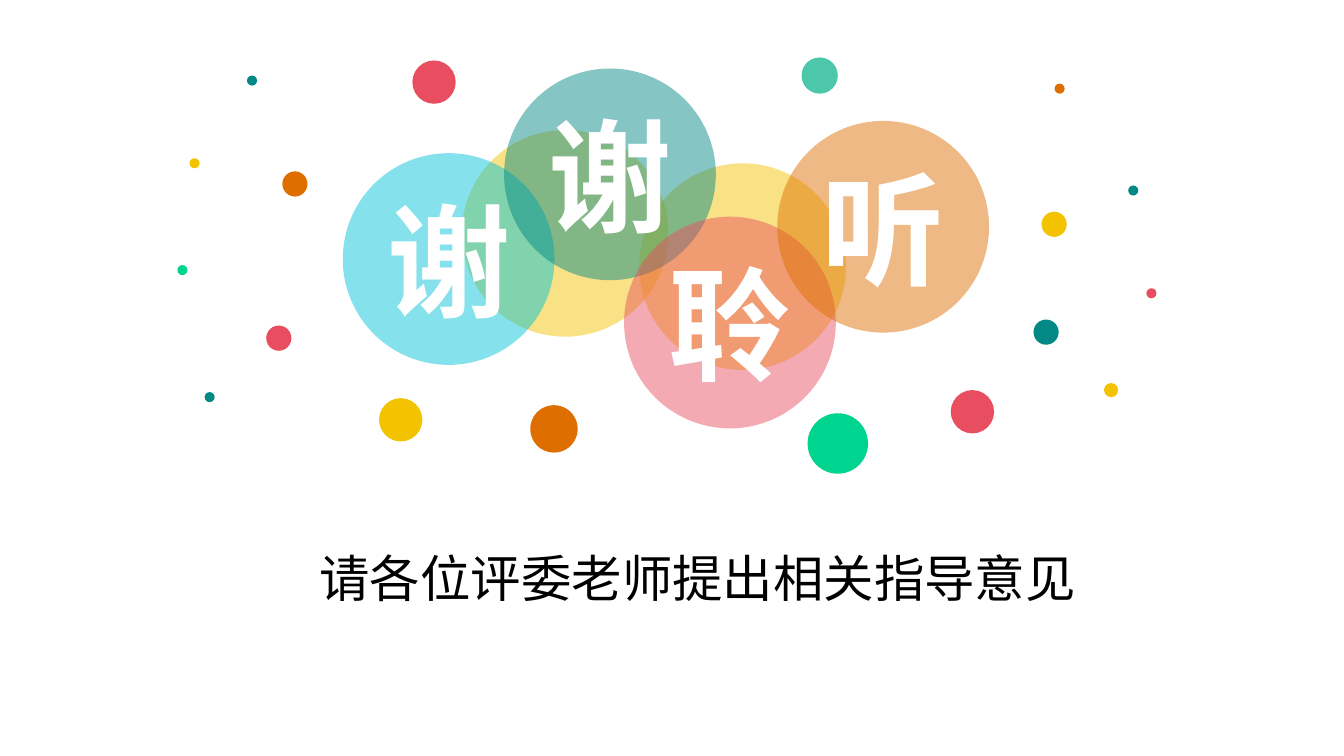
from lxml import etree
from pptx import Presentation
from pptx.dml.color import RGBColor
from pptx.enum.shapes import MSO_SHAPE
from pptx.enum.text import MSO_ANCHOR, PP_ALIGN
from pptx.oxml.ns import qn
from pptx.util import Inches, Pt

OVAL = MSO_SHAPE.OVAL
MIDDLE = MSO_ANCHOR.MIDDLE
CENTER = PP_ALIGN.CENTER

COLORS = {
    "yellow": "F3C301", "cyan": "00C3D9", "teal": "028985", "red": "E94E60",
    "orange": "DE6E00", "mint": "4CC7AA", "green": "01D48F",
    "white": "FFFFFF", "black": "000000",
}
CJK_FONT = "Noto Sans CJK SC"
BUBBLE_ALPHA = 48

BUBBLES = [
    ("", 4.58, 1.29, 2.05, "yellow"),
    ("", 6.34, 1.62, 2.05, "yellow"),
    ("谢", 3.4, 1.52, 2.1, "cyan"),
    ("谢", 5, 0.68, 2.1, "teal"),
    ("聆", 6.19, 2.15, 2.1, "red"),
    ("听", 7.71, 1.2, 2.1, "orange"),
]
DOTS = {
    0.6: [(8.01, 4.1, "green")],
    0.47: [(5.26, 4.02, "orange")],
    0.43: [(4.09, 0.6, "red"), (3.76, 3.95, "yellow"), (9.43, 3.87, "red")],
    0.36: [(7.95, 0.57, "mint")],
    0.25: [(2.8, 1.7, "orange"), (2.64, 3.23, "red"),
           (10.33, 2.1, "yellow"), (10.25, 3.17, "teal")],
    0.14: [(10.95, 3.8, "yellow")],
    0.1: [(2.45, 0.75, "teal"), (1.88, 1.57, "yellow"), (1.76, 2.63, "green"),
          (2.03, 3.89, "teal"), (10.46, 0.83, "orange"),
          (11.19, 1.84, "teal"), (11.37, 2.86, "red")],
}
REQUEST = "请各位评委老师提出相关指导意见"


def write(frame, text, *, size, color, font, bold=False, wrap=True):
    frame.word_wrap = wrap
    paragraph = frame.paragraphs[0]
    paragraph.alignment = CENTER
    run = paragraph.add_run()
    run.text = text
    run.font.size = Pt(size)
    run.font.bold = bold
    run.font.color.rgb = RGBColor.from_string(COLORS[color])
    run.font.name = font
    etree.SubElement(run.font._element, qn("a:ea"), typeface=CJK_FONT)


def add_circle(slide, left, top, diameter, color, alpha=100):
    circle = slide.shapes.add_shape(
        OVAL, Inches(left), Inches(top), Inches(diameter), Inches(diameter))
    circle.shadow.inherit = False
    circle.line.fill.background()
    circle.fill.solid()
    circle.fill.fore_color.rgb = RGBColor.from_string(COLORS[color])
    if alpha < 100:
        tint = circle._element.spPr.find(qn("a:solidFill"))[0]
        etree.SubElement(tint, qn("a:alpha"), val=str(alpha * 1000))
    return circle


def main():
    deck = Presentation()
    deck.slide_width, deck.slide_height = Inches(13.33), Inches(7.5)
    slide = deck.slides.add_slide(deck.slide_layouts[6])

    for character, left, top, diameter, color in BUBBLES:
        bubble = add_circle(slide, left, top, diameter, color, BUBBLE_ALPHA)
        if character:
            bubble.text_frame.vertical_anchor = MIDDLE
            write(bubble.text_frame, character, size=88, color="white",
                  font=CJK_FONT, bold=True, wrap=False)

    for diameter, places in DOTS.items():
        for left, top, color in places:
            add_circle(slide, left, top, diameter, color)

    request = slide.shapes.add_textbox(
        Inches(2.97), Inches(5.38), Inches(7.9), Inches(0.71))
    write(request.text_frame, REQUEST, size=36, color="black", font="Arial")

    deck.save("out.pptx")


if __name__ == "__main__":
    main()
